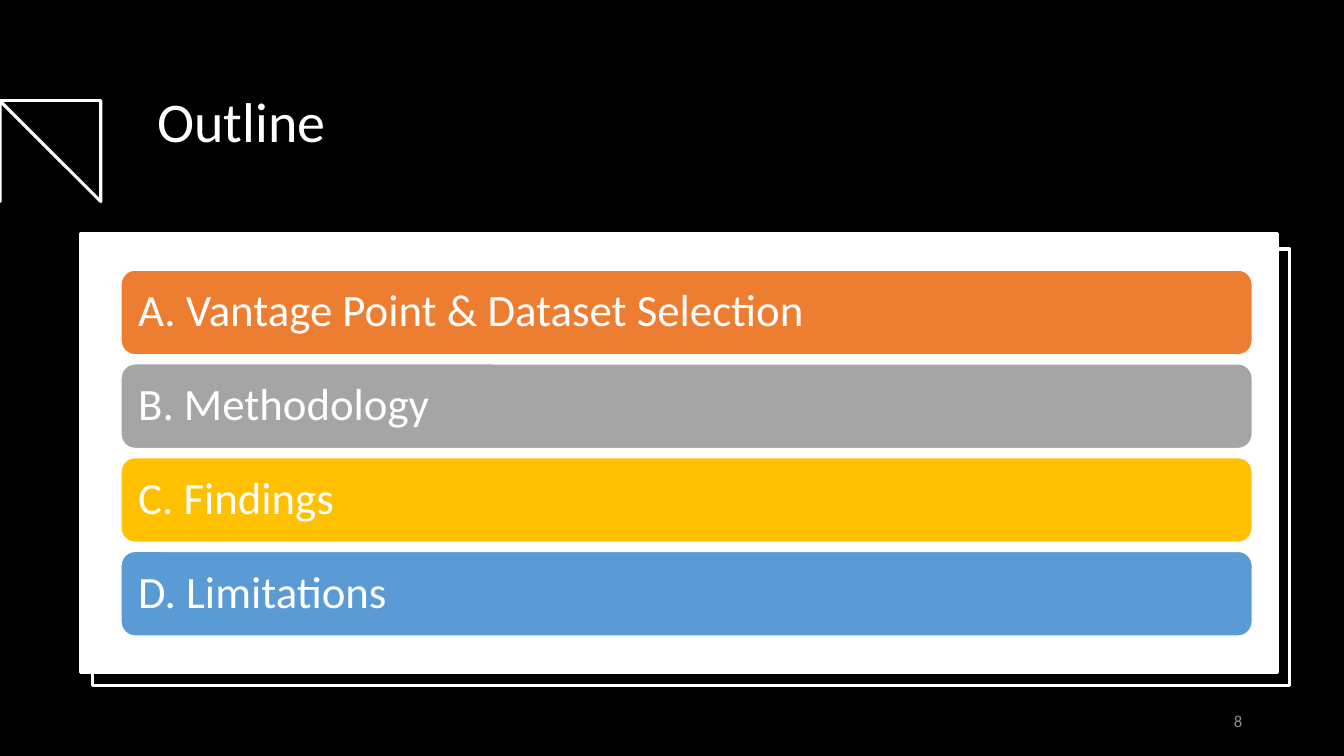
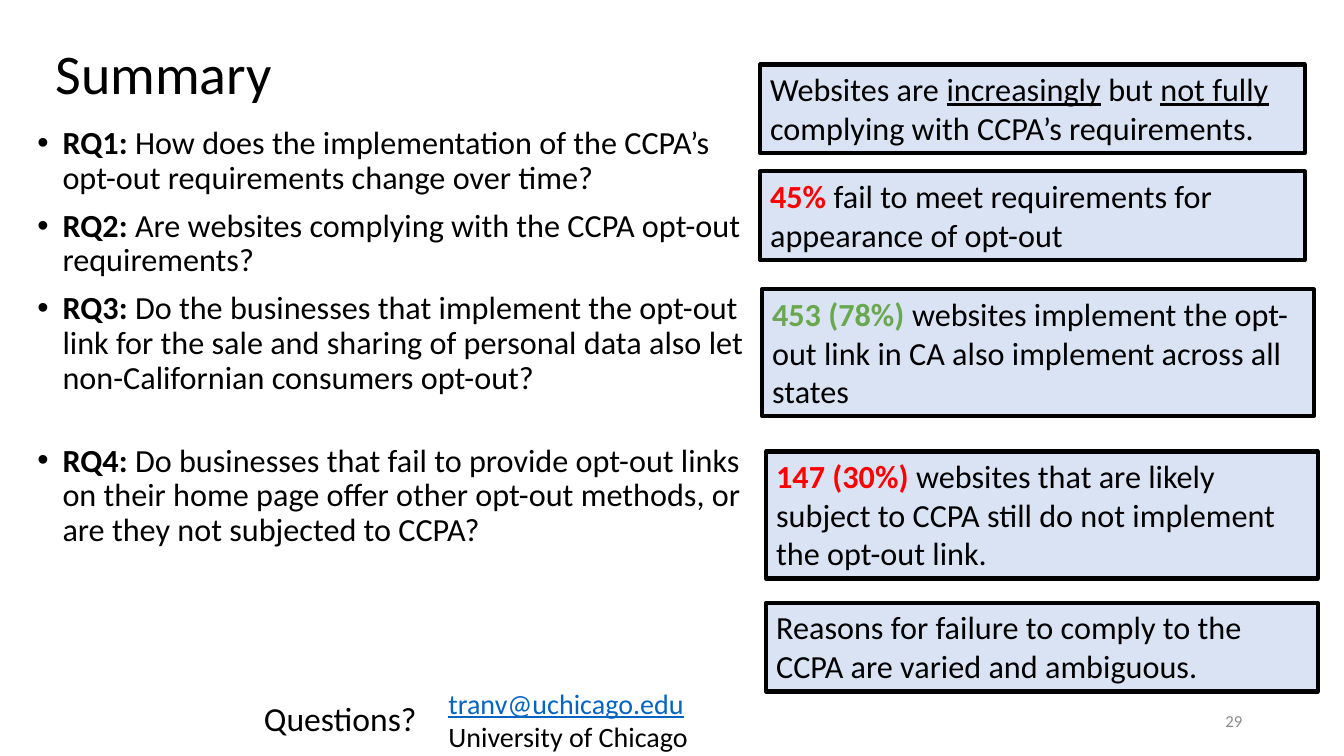
from pptx import Presentation
from pptx.dml.color import RGBColor
from pptx.enum import shapes, text
from pptx.oxml import parse_xml
from pptx.oxml.ns import nsdecls
from pptx.util import Inches, Pt

BLACK, WHITE, RED, GREEN = "000000", "FFFFFF", "FF0000", "6AA84F"
LINK, GREY, PALE_BLUE = "0563C1", "8C8C8C", "DAE3F3"
FONT = "Calibri"


def paint(target, fill=None, line=None, width=1):
    target.shadow.inherit = False
    if fill:
        target.fill.solid()
        target.fill.fore_color.rgb = RGBColor.from_string(fill)
    else:
        target.fill.background()
    target.line.color.rgb = RGBColor.from_string(line)
    target.line.width = Pt(width)


def write(paragraph, size, color, *runs, align=text.PP_ALIGN.LEFT, spacing=1.0):
    paragraph.alignment = align
    paragraph.line_spacing = spacing
    paragraph.font.size = Pt(size)
    paragraph.font.name = FONT
    paragraph.font.color.rgb = RGBColor.from_string(color)
    for words, style in runs:
        run = paragraph.add_run()
        run.text = words
        if style == "underline":
            run.font.underline = True
        elif style:
            run.font.bold = True
            run.font.color.rgb = RGBColor.from_string(style)


prs = Presentation()
prs.slide_width, prs.slide_height = Inches(13.33), Inches(7.5)
outline = prs.slides.add_slide(prs.slide_layouts[5])
summary = prs.slides.add_slide(prs.slide_layouts[1])

for slide, heading, color, place, anchor, number in [
    (outline, "Outline", WHITE, (1.46, 0.62, 10.66, 1.23), text.MSO_ANCHOR.MIDDLE, "8"),
    (summary, "Summary", BLACK, (0.45, 0.24, 10.1, 0.87), text.MSO_ANCHOR.BOTTOM, "29"),
]:
    title = slide.shapes.title
    title.left, title.top, title.width, title.height = map(Inches, place)
    title.text_frame.auto_size = text.MSO_AUTO_SIZE.NONE
    title.text_frame.vertical_anchor = anchor
    write(title.text_frame.paragraphs[0], 40, color, (heading, None), spacing=0.9)
    page = slide.shapes.add_textbox(*map(Inches, (9.42, 6.95, 3, 0.4))).text_frame
    page.word_wrap = True
    page.vertical_anchor = text.MSO_ANCHOR.MIDDLE
    write(page.paragraphs[0], 12, GREY, (number, None), align=text.PP_ALIGN.RIGHT)

outline.background.fill.solid()
outline.background.fill.fore_color.rgb = RGBColor.from_string(BLACK)

zigzag = [(0.24, 1.03), (0.5, 0.77), (0.75, 1.03), (1.01, 0.77), (1.27, 1.02)]
for drop in (0, 0.48):
    builder = outline.shapes.build_freeform(0, 0.79 + drop, scale=Inches(1))
    builder.add_line_segments([(x, y + drop) for x, y in zigzag], close=False)
    paint(builder.convert_to_shape(), None, WHITE, 2.25)

for place, fill in [((0.92, 2.47, 11.87, 4.33), BLACK), ((0.8, 2.32, 11.87, 4.35), WHITE)]:
    panel = outline.shapes.add_shape(shapes.MSO_SHAPE.RECTANGLE, *map(Inches, place))
    paint(panel, fill, WHITE, 2.25)

topics = [
    ("A. Vantage Point & Dataset Selection", "ED7D31"),
    ("B. Methodology", "A5A5A5"),
    ("C. Findings", "FFC000"),
    ("D. Limitations", "5B9BD5"),
]
for index, (topic, fill) in enumerate(topics):
    bar = outline.shapes.add_shape(
        shapes.MSO_SHAPE.ROUNDED_RECTANGLE,
        Inches(1.2), Inches(2.68 + 0.93 * index), Inches(11.22), Inches(0.84))
    paint(bar, fill, WHITE)
    frame = bar.text_frame
    frame.margin_left = frame.margin_right = Inches(0.13)
    frame.vertical_anchor = text.MSO_ANCHOR.MIDDLE
    write(frame.paragraphs[0], 32, WHITE, (topic, None), spacing=0.9)

questions = [
    ("RQ1: ", "How does the implementation of the CCPA’s opt-out requirements change over time?", 0),
    ("RQ2: ", "Are websites complying with the CCPA opt-out requirements?", 9.2),
    ("RQ3: ", "Do the businesses that implement the opt-out link for the sale and sharing of "
     "personal data also let non-Californian consumers opt-out?", 9.2),
    ("RQ4: ", "Do businesses that fail to provide opt-out links on their home page offer other "
     "opt-out methods, or are they not subjected to CCPA?", 34.5),
]
body = summary.placeholders[1]
body.left, body.top, body.width, body.height = map(Inches, (0.27, 1.21, 7.3, 5.15))
body.text_frame.auto_size = text.MSO_AUTO_SIZE.NONE
for index, (label, question, gap) in enumerate(questions):
    paragraph = body.text_frame.paragraphs[0] if index == 0 else body.text_frame.add_paragraph()
    paragraph.space_before = Pt(gap)
    properties = paragraph._p.get_or_add_pPr()
    properties.set("marL", str(Inches(0.25)))
    properties.set("indent", str(-Inches(0.25)))
    properties.append(parse_xml(f'<a:buFont {nsdecls("a")} typeface="Arial"/>'))
    properties.append(parse_xml(f'<a:buChar {nsdecls("a")} char="•"/>'))
    write(paragraph, 23, BLACK, (label, BLACK), (question, None), spacing=0.9)

answers = [
    ((7.54, 0.64, 5.4, 0.88), [
        ("Websites are ", None), ("increasingly", "underline"), (" but ", None),
        ("not fully ", "underline"), ("complying with CCPA’s requirements.", None)]),
    ((7.54, 1.7, 5.4, 0.88), [
        ("45% ", RED), ("fail to meet requirements for appearance of opt-out", None)]),
    ((7.56, 2.87, 5.47, 1.26), [
        ("453 (78%)", GREEN),
        (" websites implement the opt-out link in CA also implement across all states", None)]),
    ((7.6, 4.48, 5.47, 1.26), [
        ("147 (30%) ", RED),
        ("websites that are likely subject to CCPA still do not implement the opt-out link.", None)]),
    ((7.6, 5.98, 5.47, 0.88), [
        ("Reasons for failure to comply to the CCPA are varied and ambiguous.", None)]),
]
for place, runs in answers:
    answer = summary.shapes.add_shape(shapes.MSO_SHAPE.RECTANGLE, *map(Inches, place))
    paint(answer, PALE_BLUE, BLACK, 3)
    answer.text_frame.vertical_anchor = text.MSO_ANCHOR.TOP
    write(answer.text_frame.paragraphs[0], 23, BLACK, *runs)

closing = summary.shapes.add_textbox(*map(Inches, (2.52, 6.88, 1.83, 0.54))).text_frame
closing.word_wrap = True
closing.vertical_anchor = text.MSO_ANCHOR.MIDDLE
write(closing.paragraphs[0], 24, BLACK, ("Questions?", None), spacing=0.9)

contact = summary.shapes.add_textbox(*map(Inches, (4.35, 6.76, 3.7, 0.77))).text_frame
contact.word_wrap = True
write(contact.paragraphs[0], 20, LINK, ("tranv@uchicago.edu", "underline"))
write(contact.add_paragraph(), 20, BLACK, ("University of Chicago", None))

for slide in prs.slides:
    for shape in slide.shapes:
        if shape.has_text_frame:
            for paragraph in shape.text_frame.paragraphs:
                for run in paragraph.runs:
                    run.font.name = FONT

prs.save("out.pptx")
